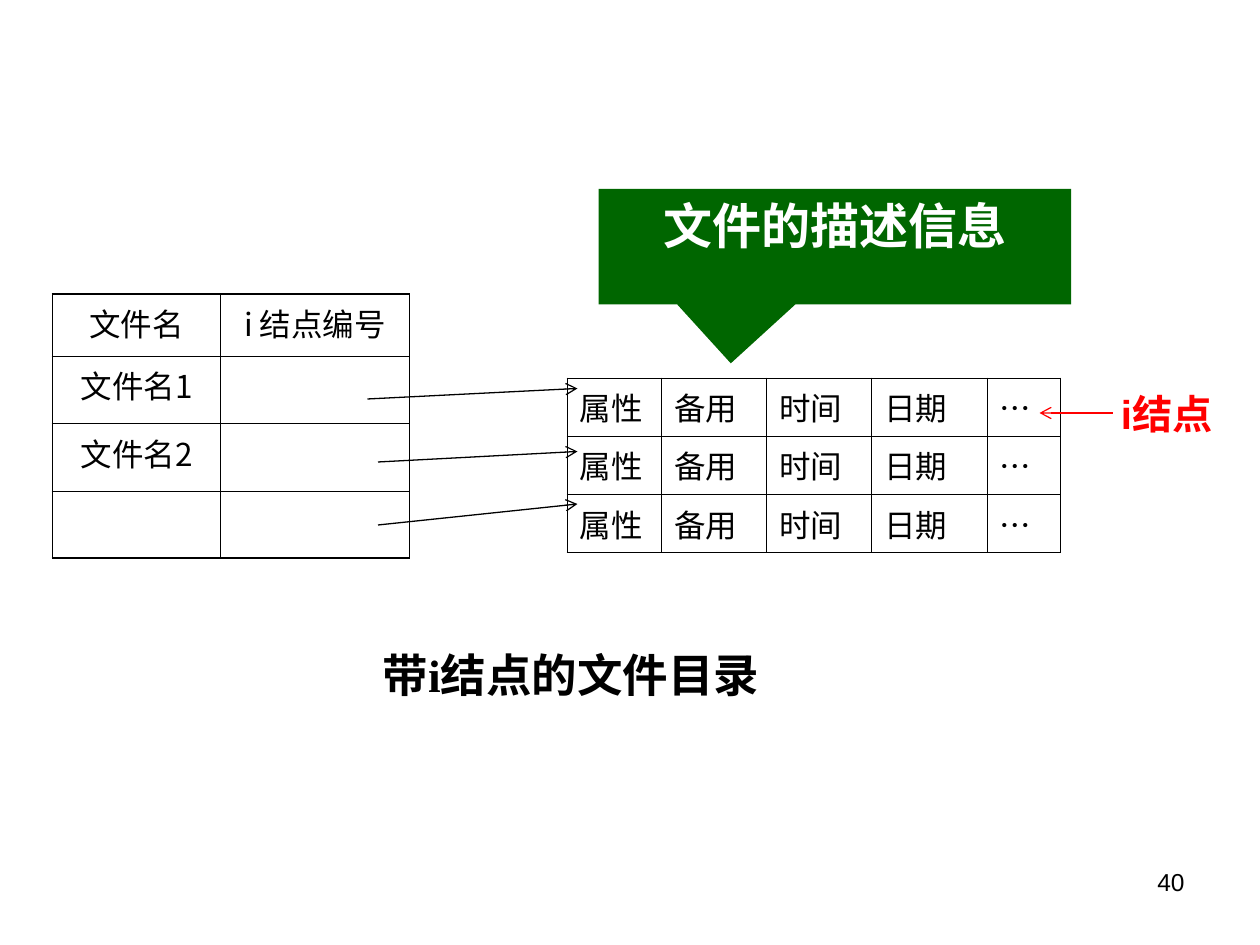
from dataclasses import dataclass

from lxml.etree import SubElement
from pptx import Presentation
from pptx.dml.color import RGBColor
from pptx.enum.shapes import MSO_CONNECTOR, MSO_SHAPE
from pptx.enum.text import MSO_ANCHOR, MSO_AUTO_SIZE, PP_ALIGN
from pptx.oxml.ns import qn
from pptx.util import Pt


@dataclass(frozen=True)
class Theme:
    black: str = "000000"
    white: str = "FFFFFF"
    red: str = "FF0000"
    green: str = "006600"
    latin: str = "Arial"
    serif: str = "Times New Roman"
    chinese: str = "Noto Sans CJK SC"
    number_size: float = 14
    cell_size: float = 18
    label_size: float = 23
    caption_size: float = 26
    callout_size: float = 28
    thin: float = 0.45
    thick: float = 1.08
    arrow: float = 0.75


THEME = Theme()


def write(frame, text, size=THEME.cell_size, font=THEME.latin, color=THEME.black,
          bold=False, align=PP_ALIGN.LEFT, before=0, spacing=None):
    """Put one formatted paragraph into a text frame."""
    para = frame.paragraphs[0]
    para.alignment = align
    para.space_before = Pt(before)
    if spacing:
        para.line_spacing = spacing
    span = para.add_run()
    span.text = text
    span.font.size = Pt(size)
    span.font.name = font
    span.font.bold = bold
    span.font.color.rgb = RGBColor.from_string(color)
    SubElement(span.font._element, qn("a:ea"), typeface=THEME.chinese)


def add_text(shapes, text, left, top, width, height, wrap=False, **style):
    box = shapes.add_textbox(Pt(left), Pt(top), Pt(width), Pt(height))
    box.text_frame.word_wrap = wrap
    if not wrap:
        box.text_frame.auto_size = MSO_AUTO_SIZE.SHAPE_TO_FIT_TEXT
    write(box.text_frame, text, **style)


def add_arrow(shapes, start, end, color=THEME.black):
    arrow = shapes.add_connector(MSO_CONNECTOR.STRAIGHT, *map(Pt, start + end))
    arrow.line.color.rgb = RGBColor.from_string(color)
    arrow.line.width = Pt(THEME.arrow)
    SubElement(arrow.line._get_or_add_ln(), qn("a:tailEnd"), type="arrow")
    SubElement(arrow._element.spPr, qn("a:effectLst"))


def set_border(cell, side, width):
    line = SubElement(cell._tc.get_or_add_tcPr(), qn(f"a:ln{side}"), w=str(Pt(width)))
    fill = SubElement(line, qn("a:solidFill"))
    SubElement(fill, qn("a:srgbClr"), val=THEME.black)


def add_grid(shapes, left, top, widths, heights, rows, outline, **style):
    """Add an unfilled table whose outer border may differ from the inner ones."""
    frame = shapes.add_table(len(rows), len(widths), Pt(left), Pt(top),
                             Pt(sum(widths)), Pt(sum(heights)))
    table = frame.table
    table.first_row = table.horz_banding = False
    for column, width in zip(table.columns, widths):
        column.width = Pt(width)
    for row, height in zip(table.rows, heights):
        row.height = Pt(height)
    for r, texts in enumerate(rows):
        for c, text in enumerate(texts):
            cell = table.cell(r, c)
            on_edge = {"L": c == 0, "R": c == len(widths) - 1,
                       "T": r == 0, "B": r == len(rows) - 1}
            for side, outer in on_edge.items():
                set_border(cell, side, outline if outer else THEME.thin)
            cell.fill.background()
            if text:
                write(cell.text_frame, text, font=THEME.chinese, **style)


def add_callout(shapes, text, left, top, width, height, tip):
    callout = shapes.add_shape(MSO_SHAPE.RECTANGULAR_CALLOUT,
                               Pt(left), Pt(top), Pt(width), Pt(height))
    callout.adjustments[0], callout.adjustments[1] = tip
    callout.shadow.inherit = False
    callout.fill.solid()
    callout.fill.fore_color.rgb = RGBColor.from_string(THEME.green)
    callout.line.fill.background()
    callout.text_frame.vertical_anchor = MSO_ANCHOR.TOP
    callout.text_frame.word_wrap = True
    write(callout.text_frame, text, size=THEME.callout_size, color=THEME.white,
          bold=True, align=PP_ALIGN.CENTER, before=7)


def main():
    deck = Presentation()
    deck.slide_width, deck.slide_height = Pt(720), Pt(540)
    page = deck.slides.add_slide(deck.slide_layouts[6])
    shapes = page.shapes

    # Page number
    add_text(shapes, "40", 516, 492, 168, 37.5, wrap=True,
             size=THEME.number_size, align=PP_ALIGN.RIGHT)

    # Directory: file names and i-node numbers
    directory = [("文件名", "i 结点编号"), ("文件名1", ""), ("文件名2", ""), ("", "")]
    add_grid(shapes, 30, 168, [96, 108], [35.5, 38.5, 38.5, 38.5], directory,
             THEME.thick, align=PP_ALIGN.CENTER, before=4.5)

    # Arrows from directory entries to i-nodes
    for start, end in [((210, 228), (330, 222)),
                       ((216, 264), (330, 258)),
                       ((216, 300), (330, 288))]:
        add_arrow(shapes, start, end)

    # I-node table
    inodes = [("属性", "备用", "时间", "日期", "…")] * 3
    add_grid(shapes, 324, 216, [54, 60, 60, 66, 42], [33.2] * 3, inodes, THEME.thin)

    # Callout and caption
    add_callout(shapes, "文件的描述信息", 342, 108, 270, 66, tip=(-0.22, 1.01))
    add_text(shapes, "带i结点的文件目录", 211.5, 366, 242, 39,
             size=THEME.caption_size, font=THEME.serif, bold=True)

    # I-node label with its arrow
    label = page.shapes.add_group_shape().shapes
    add_arrow(label, (636, 236), (594, 236), color=THEME.red)
    add_text(label, "i结点", 633.5, 222, 72, 32.5, size=THEME.label_size,
             color=THEME.red, bold=True, before=5.8, spacing=0.9)

    deck.save("out.pptx")


if __name__ == "__main__":
    main()
